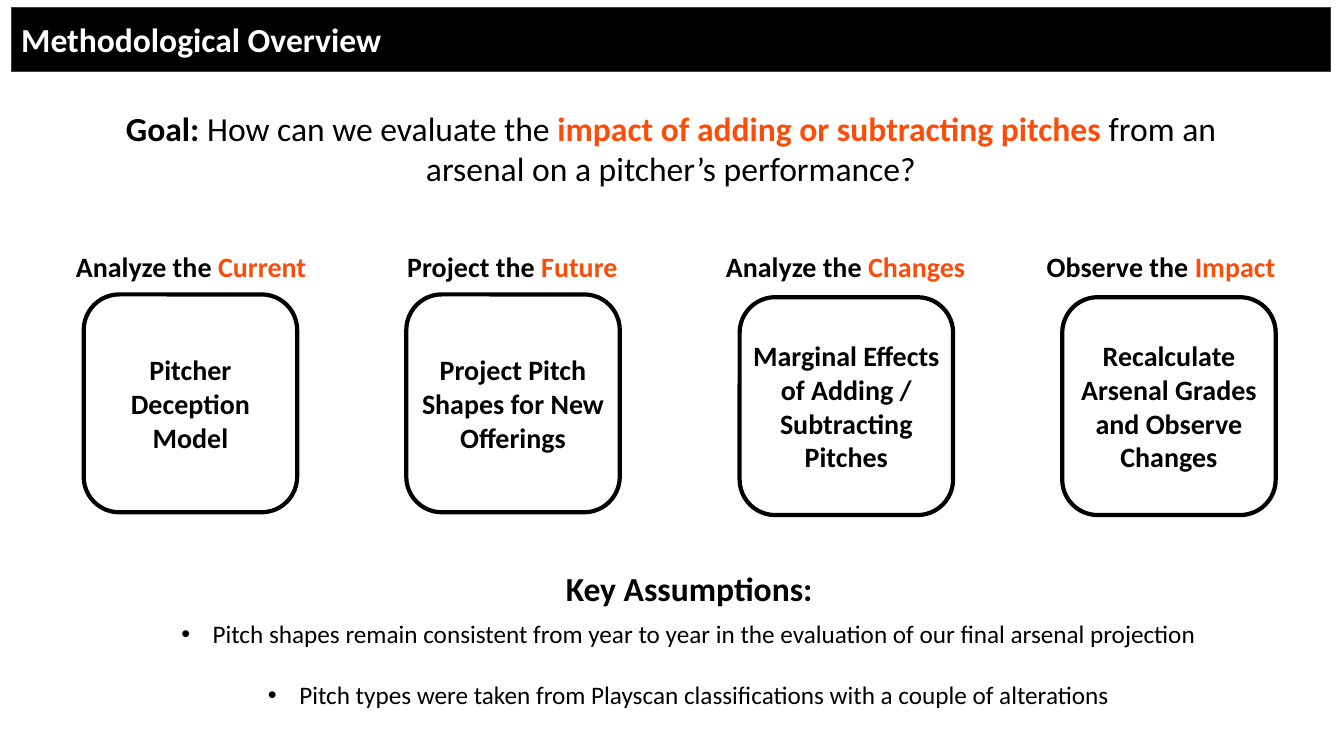
from lxml.etree import SubElement
from pptx import Presentation
from pptx.dml.color import RGBColor
from pptx.enum.shapes import MSO_SHAPE as Shape
from pptx.enum.text import MSO_ANCHOR as Anchor, MSO_AUTO_SIZE as AutoSize, PP_ALIGN as Align
from pptx.oxml.ns import qn
from pptx.util import Cm, Pt

BLACK = RGBColor(0x00, 0x00, 0x00)
WHITE = RGBColor(0xFF, 0xFF, 0xFF)
CHARCOAL = RGBColor(0x3C, 0x3C, 0x3C)
ORANGE = RGBColor(0xFB, 0x4D, 0x09)


def write(paragraph, text, size=20, color=BLACK, bold=True, align=Align.CENTER):
    paragraph.alignment = align
    run = paragraph.add_run()
    run.text = text
    run.font.name = "Calibri"
    run.font.size = Pt(size)
    run.font.bold = bold
    run.font.color.rgb = color


def place(part, left, top, width, height, anchor):
    part.left, part.top, part.width, part.height = Cm(left), Cm(top), Cm(width), Cm(height)
    frame = part.text_frame
    frame.auto_size = AutoSize.NONE
    frame.word_wrap = True
    frame.vertical_anchor = anchor
    return frame


deck = Presentation()
deck.slide_width, deck.slide_height = Cm(33.87), Cm(19.05)
slide = deck.slides.add_slide(deck.slide_layouts[1])

heading = slide.shapes.title
heading.fill.solid()
heading.fill.fore_color.rgb = BLACK
heading.line.color.rgb = CHARCOAL
heading.line.width = Pt(0.75)
heading_frame = place(heading, 0.28, 0.18, 33.25, 1.63, Anchor.MIDDLE)
write(heading_frame.paragraphs[0], "Methodological Overview", 24, WHITE, align=Align.LEFT)

goal = slide.shapes.add_textbox(0, 0, 0, 0)
goal_line = place(goal, 2.84, 2.57, 28.14, 2.31, Anchor.BOTTOM).paragraphs[0]
write(goal_line, "Goal: ", 24)
write(goal_line, "How can we evaluate the ", 24, bold=False)
write(goal_line, "impact of adding or subtracting pitches", 24, ORANGE)
write(goal_line, " from an arsenal on a pitcher’s performance?", 24, bold=False)

steps = [
    (2.11, 7.42, 1.12, 7.39, "Analyze the ", "Current", "Pitcher Deception Model"),
    (10.24, 7.42, 9.22, 7.39, "Project the ", "Future", "Project Pitch Shapes for New Offerings"),
    (18.64, 7.49, 17.35, 7.92, "Analyze the ", "Changes",
     "Marginal Effects of Adding / Subtracting Pitches"),
    (26.77, 7.49, 25.3, 7.92, "Observe the ", "Impact",
     "Recalculate Arsenal Grades and Observe Changes"),
]
for left, top, caption_left, caption_width, action, focus, method in steps:
    caption = slide.shapes.add_textbox(0, 0, 0, 0)
    caption_line = place(caption, caption_left, 6.15, caption_width, 1.12, Anchor.TOP).paragraphs[0]
    write(caption_line, action)
    write(caption_line, focus, color=ORANGE)

    card = slide.shapes.add_shape(Shape.ROUNDED_RECTANGLE, 0, 0, 0, 0)
    card.shadow.inherit = False
    card.fill.background()
    card.line.color.rgb = BLACK
    card.line.width = Pt(3)
    card_frame = place(card, left, top, 5.38, 5.49, Anchor.MIDDLE)
    card_frame.margin_left = card_frame.margin_right = 0
    write(card_frame.paragraphs[0], method)

assumptions_heading = slide.shapes.add_textbox(0, 0, 0, 0)
assumptions_frame = place(assumptions_heading, 3.3, 14.17, 28.14, 1.27, Anchor.BOTTOM)
write(assumptions_frame.paragraphs[0], "Key Assumptions:", 24)

assumptions = [
    "Pitch shapes remain consistent from year to year in the evaluation of our final arsenal projection",
    "Pitch types were taken from Playscan classifications with a couple of alterations",
]
list_frame = place(slide.placeholders[1], 2.34, 15.44, 30.02, 2.57, Anchor.BOTTOM)
for number, assumption in enumerate(assumptions):
    item = list_frame.add_paragraph() if number else list_frame.paragraphs[0]
    properties = item._p.get_or_add_pPr()
    properties.set("marL", str(Cm(0.79)))
    properties.set("indent", str(-Cm(0.79)))
    SubElement(properties, qn("a:buFont")).set("typeface", "Arial")
    SubElement(properties, qn("a:buChar")).set("char", "•")
    item.space_before = Pt(22 * number)
    write(item, assumption, 18, bold=False)

deck.save("out.pptx")
